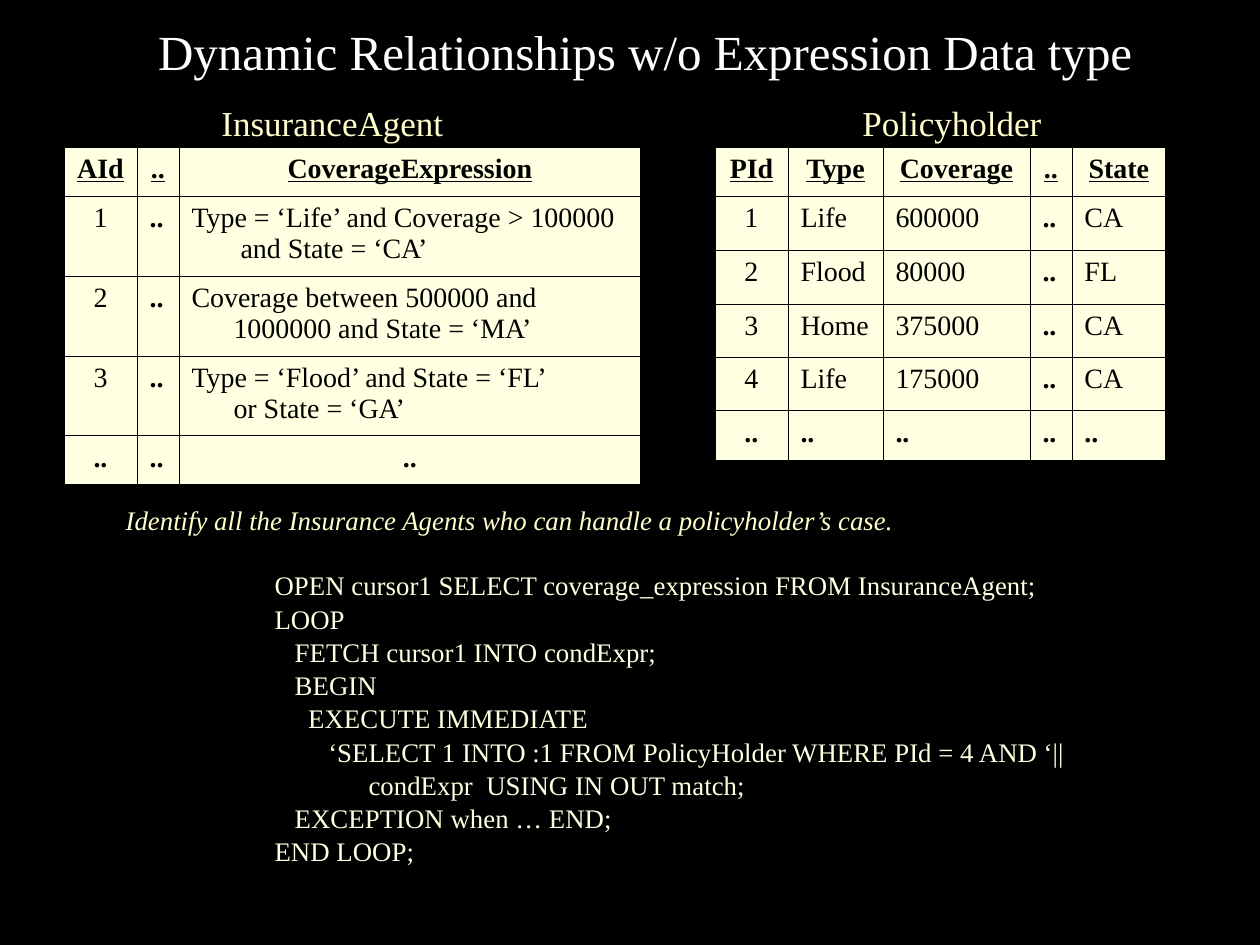
from pptx import Presentation
from pptx.dml.color import RGBColor
from pptx.enum.text import MSO_ANCHOR, MSO_AUTO_SIZE, PP_ALIGN
from pptx.oxml.xmlchemy import OxmlElement
from pptx.util import Emu, Pt

BLACK = RGBColor(0x00, 0x00, 0x00)
WHITE = RGBColor(0xFF, 0xFF, 0xFF)
CREAM = RGBColor(0xFF, 0xFF, 0xCC)
IVORY = RGBColor(0xFF, 0xFF, 0xE1)
FONT = "Times New Roman"
SCALE = 914400 / 126

AGENTS = [
    ["AId", "..", "CoverageExpression"],
    ["1", "..", "Type = ‘Life’ and Coverage > 100000\vand State = ‘CA’"],
    ["2", "..", "Coverage between 500000 and\v1000000 and State = ‘MA’"],
    ["3", "..", "Type = ‘Flood’ and State = ‘FL’\vor State = ‘GA’"],
    ["..", "..", ".."],
]
HOLDERS = [
    ["PId", "Type", "Coverage", "..", "State"],
    ["1", "Life", "600000", "..", "CA"],
    ["2", "Flood", "80000", "..", "FL"],
    ["3", "Home", "375000", "..", "CA"],
    ["4", "Life", "175000", "..", "CA"],
    ["..", "..", "..", "..", ".."],
]
TASK = "Identify all the Insurance Agents who can handle a policyholder’s case."
CODE = [
    "OPEN cursor1 SELECT coverage_expression FROM InsuranceAgent;",
    "LOOP",
    "   FETCH cursor1 INTO condExpr;",
    "   BEGIN",
    "     EXECUTE IMMEDIATE",
    "        ‘SELECT 1 INTO :1 FROM PolicyHolder WHERE PId = 4 AND ‘||",
    "              condExpr  USING IN OUT match;",
    "   EXCEPTION when … END;",
    "END LOOP;",
]


def px(n):
    return Emu(round(n * SCALE))


class Deck:
    """Holds the style and the current slide."""

    def __init__(self, wide, high):
        self.prs = Presentation()
        self.prs.slide_width, self.prs.slide_height = px(wide), px(high)
        self.slide = self.prs.slides.add_slide(self.prs.slide_layouts[1])
        fill = self.slide.background.fill
        fill.solid()
        fill.fore_color.rgb = BLACK

    def place(self, shape, x, y, w, h):
        shape.left, shape.top, shape.width, shape.height = map(px, (x, y, w, h))

    def ink(self, para, size, color, bold=False, italic=False, under=False):
        for run in para.runs:
            font = run.font
            font.name, font.size, font.color.rgb = FONT, Pt(size), color
            font.bold, font.italic, font.underline = bold, italic, under

    def indent(self, para, left, first):
        props = para._p.get_or_add_pPr()
        props.set("marL", str(px(left)))
        props.set("indent", str(px(first)))

    def title(self, text, *box):
        shape = self.slide.shapes.title
        self.place(shape, *box)
        frame = shape.text_frame
        frame.text = text
        frame.auto_size = MSO_AUTO_SIZE.NONE
        frame.vertical_anchor = MSO_ANCHOR.MIDDLE
        frame.margin_right = px(25)
        para = frame.paragraphs[0]
        para.alignment = PP_ALIGN.CENTER
        self.ink(para, 28, WHITE)

    def label(self, text, *box):
        frame = self.slide.shapes.add_textbox(*map(px, box)).text_frame
        frame.text = text
        frame.word_wrap = False
        frame.auto_size = MSO_AUTO_SIZE.SHAPE_TO_FIT_TEXT
        self.ink(frame.paragraphs[0], 20, CREAM)

    def edge(self, cell, side, width):
        line = OxmlElement(f"a:ln{side}")
        line.set("w", str(Pt(width)))
        fill = OxmlElement("a:solidFill")
        color = OxmlElement("a:srgbClr")
        color.set("val", str(BLACK))
        fill.append(color)
        line.append(fill)
        cell._tc.get_or_add_tcPr().append(line)

    def table(self, data, x, y, cols, rows, mid=(), hang=None):
        """mid lists extra centred cells, hang gives hanging indents by row."""
        frame = self.slide.shapes.add_table(
            len(rows), len(cols), *map(px, (x, y, sum(cols), sum(rows))))
        table = frame.table
        table.first_row = table.horz_banding = False
        for col, width in zip(table.columns, cols):
            col.width = px(width)
        for row, height in zip(table.rows, rows):
            row.height = px(height)
        for r, line in enumerate(data):
            for c, text in enumerate(line):
                cell = table.cell(r, c)
                outer = {"L": c == 0, "R": c == len(cols) - 1,
                         "T": r == 0, "B": r == len(rows) - 1}
                for side, rim in outer.items():
                    self.edge(cell, side, 1.08 if rim else 0.45)
                cell.fill.solid()
                cell.fill.fore_color.rgb = IVORY
                cell.text_frame.text = text
                para = cell.text_frame.paragraphs[0]
                centre = r == 0 or c == 0 or (r, c) in mid
                para.alignment = PP_ALIGN.CENTER if centre else PP_ALIGN.LEFT
                if "\v" in text:
                    self.indent(para, hang[r], -hang[r])
                self.ink(para, 16, BLACK, bold=r == 0 or text == "..",
                         under=r == 0)

    def body(self, task, code, *box):
        shape = self.slide.placeholders[1]
        self.place(shape, *box)
        frame = shape.text_frame
        frame.text = "\n".join([task] + code)
        frame.auto_size = MSO_AUTO_SIZE.NONE
        for i, para in enumerate(frame.paragraphs):
            para._p.get_or_add_pPr().append(OxmlElement("a:buNone"))
            para.line_spacing = 0.8
            if i == 0:
                para.space_before = Pt(0)
                self.indent(para, 40, 0)
                self.ink(para, 15.3, CREAM, italic=True)
            else:
                para.level = 3
                para.space_before = Pt(22.5 if i == 1 else 4.3)
                self.indent(para, 221, -32)
                self.ink(para, 15.3, IVORY)

    def save(self):
        self.prs.save("out.pptx")


def main():
    deck = Deck(1260, 945)
    deck.title("Dynamic Relationships w/o Expression Data type",
               116, 10, 1071, 81)

    # Agents and the policies they cover
    deck.table(AGENTS, 64, 147, [73, 42, 462], [49, 80, 80, 80, 49],
               mid=[(4, 2)], hang={1: 49, 2: 42, 3: 42})
    deck.label("InsuranceAgent", 209, 95, 247, 54)

    # Policyholders
    deck.table(HOLDERS, 715, 147, [73, 95, 147, 42, 94],
               [49, 54, 54, 53, 54, 50])
    deck.label("Policyholder", 850, 95, 204, 54)

    # Task and cursor loop
    deck.body(TASK, CODE, 73, 504, 1144, 368)
    deck.save()


if __name__ == "__main__":
    main()
